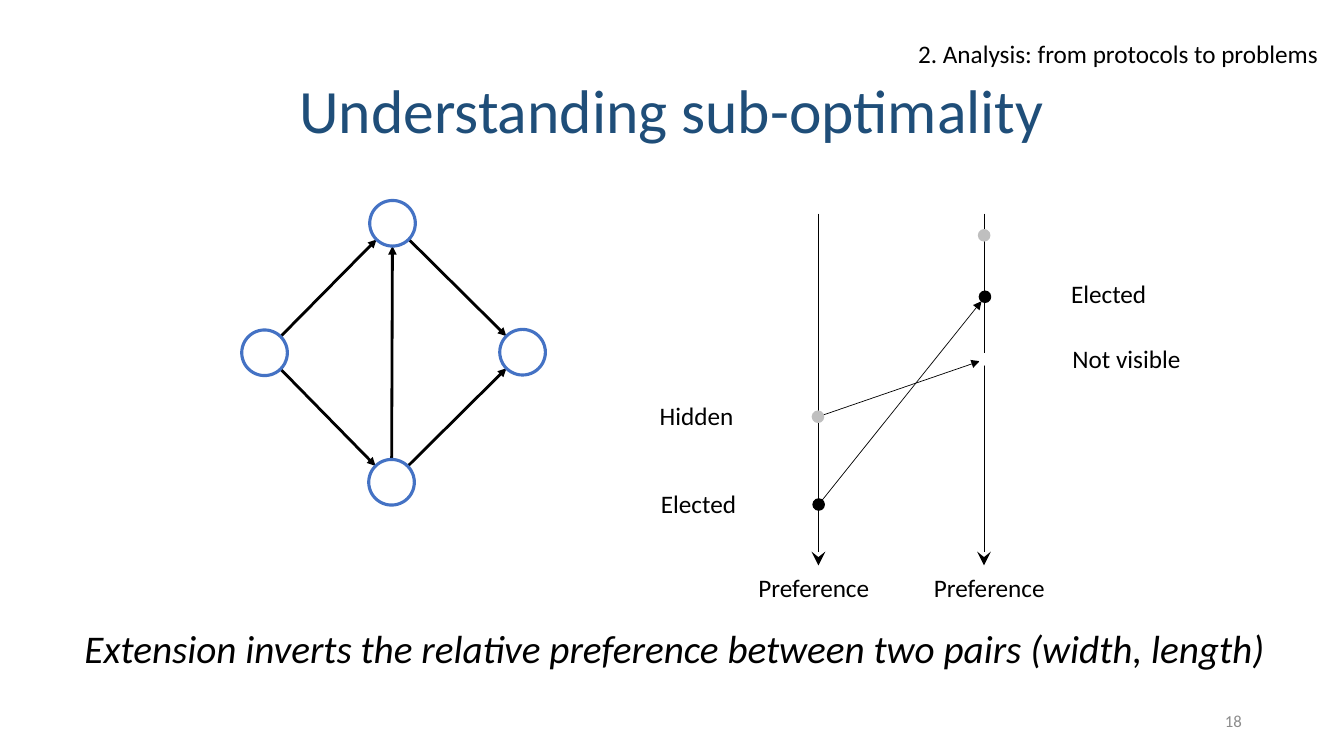
"""Build the slide on sub-optimality: a routing graph beside two preference axes."""
from dataclasses import dataclass
from math import hypot

from lxml import etree
from pptx import Presentation
from pptx.dml import color
from pptx.enum import shapes, text
from pptx.oxml import ns
from pptx.util import Pt

COLORS = {"black": "000000", "white": "FFFFFF", "grey": "BFBFBF",
          "node": "4472C4", "title": "1F4E79", "number": "8C8C8C"}
LEFT, CENTER, RIGHT = text.PP_ALIGN.LEFT, text.PP_ALIGN.CENTER, text.PP_ALIGN.RIGHT
AXIS_TOP, AXIS_BOTTOM = 152.6, 403.9


@dataclass(frozen=True)
class Circle:
    """A circle given by its centre."""
    x: float
    y: float
    size: float
    fill: str
    line: str
    weight: float


@dataclass(frozen=True)
class Label:
    """A text box with its format."""
    words: str
    x: float
    y: float
    w: float
    h: float = 29
    size: float = 18
    align: text.PP_ALIGN = CENTER
    color: str = "black"
    italic: bool = False
    wrap: bool = False
    filled: bool = False
    middle: bool = False


def rgb(name: str) -> color.RGBColor:
    """Look up a named colour."""
    return color.RGBColor.from_string(COLORS[name])


def set_all(target, values: dict) -> None:
    """Set every attribute in values on target."""
    for name, value in values.items():
        setattr(target, name, value)


def set_font(r, size: float, name: str, italic: bool = False) -> None:
    """Format the font of a run."""
    set_all(r.font, {"name": "Calibri", "size": Pt(size), "italic": italic})
    r.font.color.rgb = rgb(name)


def add_circle(s, c: Circle) -> None:
    """Draw a circle."""
    sp = s.shapes.add_shape(shapes.MSO_SHAPE.OVAL, Pt(c.x - c.size / 2),
                            Pt(c.y - c.size / 2), Pt(c.size), Pt(c.size))
    sp.shadow.inherit = False
    sp.fill.solid()
    sp.fill.fore_color.rgb = rgb(c.fill)
    sp.line.color.rgb = rgb(c.line)
    sp.line.width = Pt(c.weight)


def add_arrow(s, x1: float, y1: float, x2: float, y2: float,
              weight: float, head: str = "triangle", head_size: str = "med") -> None:
    """Draw a black line with an arrowhead at its end."""
    sp = s.shapes.add_connector(shapes.MSO_CONNECTOR.STRAIGHT, Pt(x1), Pt(y1), Pt(x2), Pt(y2))
    sp.line.color.rgb = rgb("black")
    sp.line.width = Pt(weight)
    etree.SubElement(sp.line._get_or_add_ln(), ns.qn("a:tailEnd"),
                     type=head, w=head_size, len=head_size)
    etree.SubElement(sp._element.spPr, ns.qn("a:effectLst"))


def link(s, a: Circle, b: Circle, weight: float) -> None:
    """Draw an arrow from the rim of one circle to the rim of another."""
    length = hypot(b.x - a.x, b.y - a.y)
    ux, uy = (b.x - a.x) / length, (b.y - a.y) / length
    ra, rb = a.size / 2, b.size / 2
    add_arrow(s, a.x + ux * ra, a.y + uy * ra, b.x - ux * rb, b.y - uy * rb, weight)


def add_label(s, label: Label) -> None:
    """Draw a text box."""
    sp = s.shapes.add_textbox(Pt(label.x), Pt(label.y), Pt(label.w), Pt(label.h))
    if label.filled:
        sp.fill.solid()
        sp.fill.fore_color.rgb = rgb("white")
    tf = sp.text_frame
    anchor = text.MSO_ANCHOR.MIDDLE if label.middle else text.MSO_ANCHOR.TOP
    set_all(tf, {"word_wrap": label.wrap, "vertical_anchor": anchor,
                 "auto_size": text.MSO_AUTO_SIZE.SHAPE_TO_FIT_TEXT})
    p = tf.paragraphs[0]
    p.alignment = label.align
    r = p.add_run()
    r.text = label.words
    set_font(r, label.size, label.color, label.italic)


def add_title(s, words: str) -> None:
    """Place and format the title."""
    sp = s.shapes.title
    set_all(sp, {"left": Pt(66), "top": Pt(28.8), "width": Pt(828), "height": Pt(104.4)})
    sp.text_frame.vertical_anchor = text.MSO_ANCHOR.MIDDLE
    p = sp.text_frame.paragraphs[0]
    set_all(p, {"alignment": CENTER, "line_spacing": 0.9})
    r = p.add_run()
    r.text = words
    set_font(r, 44, "title")


def node(x: float, y: float) -> Circle:
    """Describe a graph node."""
    return Circle(x, y, 32.6, "white", "node", 2.25)


def dot(x: float, y: float, name: str) -> Circle:
    """Describe a mark on a preference axis."""
    return Circle(x, y, 8, name, name, 1)


WEST, EAST = node(189, 252), node(373.3, 251.6)
NORTH, SOUTH = node(280.4, 159.5), node(279.7, 344.5)
EDGES = [(SOUTH, EAST), (SOUTH, NORTH), (NORTH, EAST), (WEST, SOUTH), (WEST, NORTH)]

AXES = [584.6, 702.9]
HIDDEN, ELECTED = dot(584.3, 297.7, "grey"), dot(584.8, 360.4, "black")
NOT_VISIBLE, NEW_ELECTED = dot(703.6, 256.7, "white"), dot(703.6, 212, "black")
TOP_MARK = dot(703, 168.1, "grey")
EXTENSIONS = [(ELECTED, NEW_ELECTED), (HIDDEN, NOT_VISIBLE)]

LABELS = [
    Label("Extension inverts the relative preference between two pairs (width, length)",
          53.3, 442.1, 871.2, 41, size=28, align=LEFT, italic=True, wrap=True, filled=True),
    Label("18", 678.2, 500.4, 216, size=12, align=RIGHT, color="number",
          wrap=True, middle=True),
    Label("2. Analysis: from protocols to problems", 648.7, 23.8, 303.1, align=LEFT),
    Label("Elected", 464.4, 344.9, 69.1),
    Label("Hidden", 463.7, 282.2, 67.7),
    Label("Elected", 757.4, 195.1, 69.1),
    Label("Not visible", 758.2, 241.9, 92.9),
    Label("Preference", 534.2, 405.4, 94.3, filled=True),
    Label("Preference", 659.5, 405.4, 94.3, filled=True),
]


def main() -> None:
    """Build and save the slide."""
    prs = Presentation()
    set_all(prs, {"slide_width": Pt(960), "slide_height": Pt(540)})
    s = prs.slides.add_slide(prs.slide_layouts[5])
    add_title(s, "Understanding sub-optimality")
    for a, b in EDGES:
        link(s, a, b, 2)
    for x in AXES:
        add_arrow(s, x, AXIS_TOP, x, AXIS_BOTTOM, 0.5, "stealth", "lg")
    for a, b in EXTENSIONS:
        link(s, a, b, 0.5)
    for c in (WEST, EAST, NORTH, SOUTH, HIDDEN, ELECTED, NOT_VISIBLE, NEW_ELECTED, TOP_MARK):
        add_circle(s, c)
    for label in LABELS:
        add_label(s, label)
    prs.save("out.pptx")


if __name__ == "__main__":
    main()
